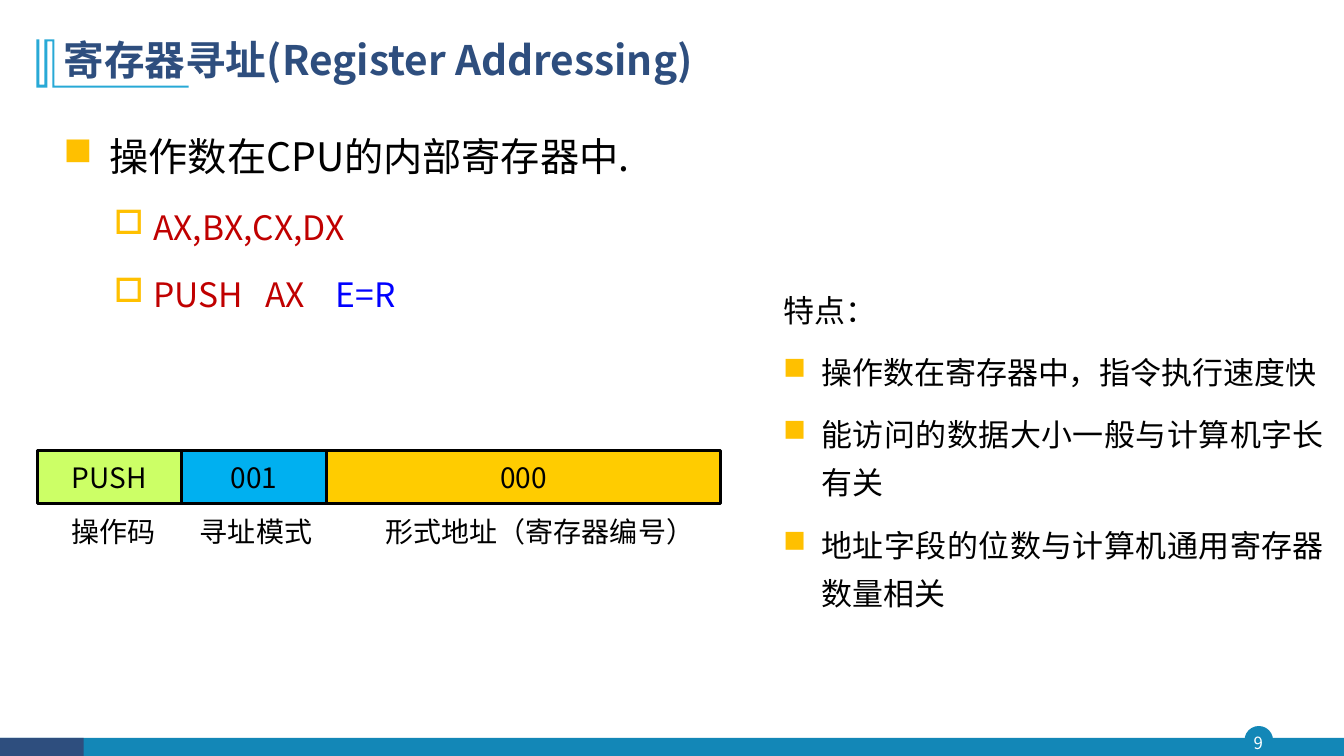
from lxml import etree
from pptx import Presentation, util as u
from pptx.dml.color import RGBColor
from pptx.enum import shapes, text
from pptx.oxml.ns import qn

# Content
TITLE = "寄存器寻址(Register Addressing)"
PAGE_NUMBER = "9"
OPERANDS = [
    # level, runs of (text, colour)
    (0, [("操作数在CPU的内部寄存器中.", "black")]),
    (1, [("AX,BX,CX,DX", "red")]),
    (1, [("PUSH\tAX\t", "red"), ("E=R", "blue")]),
]
FEATURES_HEAD = "特点："
FEATURES = [
    "操作数在寄存器中，指令执行速度快",
    "能访问的数据大小一般与计算机字长有关",
    "地址字段的位数与计算机通用寄存器数量相关",
]
INSTRUCTION = [
    # value, caption, width, caption shift, fill
    ("PUSH", "操作码", 1.43, 0.04, "lime"),
    ("001", "寻址模式", 1.44, 0.02, "sky"),
    ("000", "形式地址（寄存器编号）", 3.91, 0.16, "amber"),
]
COLOURS = {
    "black": "000000", "white": "FFFFFF", "red": "C00000", "blue": "0000FF",
    "navy": "2E4E7E", "teal": "1387B7", "cyan": "28A9D6", "bullet": "FFC000",
    "lime": "CCFF66", "sky": "00B0F0", "amber": "FFCC00",
}
SANS, SANS_JP = "Noto Sans CJK SC", "Noto Sans CJK JP"
WIDTH, HEIGHT = 13.33, 7.5
LEFT, CENTER, JUSTIFY = (text.PP_ALIGN.LEFT, text.PP_ALIGN.CENTER,
                         text.PP_ALIGN.JUSTIFY)
TOP, MIDDLE = text.MSO_ANCHOR.TOP, text.MSO_ANCHOR.MIDDLE

# Outline of the title mark, in hundredths of an inch
TITLE_MARK = [(54, 39), (54, 85), (187, 85), (187, 87), (52, 87), (52, 41),
              (47, 41), (47, 87), (36, 87), (36, 39), (39, 39), (39, 84),
              (44, 84), (44, 39)]


def rgb(name):
    return RGBColor.from_string(COLOURS[name])


def inches(*lengths):
    return [u.Inches(length) for length in lengths]


def add_element(parent, tag, **attributes):
    return etree.SubElement(parent, qn(tag), {k: str(v) for k, v in attributes.items()})


def write(frame, runs, first=False, size=20, font=SANS, colour="black", bold=False,
          align=LEFT, spacing=1.0, before=0, bullet=None, indent=(0, 0), tabs=(),
          level=0):
    """Add one paragraph; runs is a string or a list of (text, colour)."""
    paragraph = frame.paragraphs[0] if first else frame.add_paragraph()
    paragraph.alignment, paragraph.line_spacing = align, spacing
    paragraph.level = level
    paragraph.space_before = u.Pt(0 if first else before)
    properties = paragraph._p.get_or_add_pPr()
    if bullet:
        margin, hanging = inches(*indent)
        properties.set("marL", str(margin))
        properties.set("indent", str(-hanging))
        add_element(add_element(properties, "a:buClr"), "a:srgbClr", val=COLOURS["bullet"])
        add_element(properties, "a:buFont", typeface="Wingdings", charset=2)
        add_element(properties, "a:buChar", char=bullet)
    if tabs:
        tab_list = add_element(properties, "a:tabLst")
        for stop in tabs:
            add_element(tab_list, "a:tab", pos=u.Inches(stop), algn="l")
    for words, run_colour in ([(runs, colour)] if isinstance(runs, str) else runs):
        run = paragraph.add_run()
        run.text = words
        run.font.size, run.font.name, run.font.bold = u.Pt(size), font, bold
        run.font.color.rgb = rgb(run_colour)
        add_element(run._r.get_or_add_rPr(), "a:ea", typeface=font)


def set_frame(frame, anchor=TOP, inset=True):
    frame.word_wrap, frame.auto_size = True, text.MSO_AUTO_SIZE.NONE
    frame.vertical_anchor = anchor
    side, edge = inches(0.1, 0.05) if inset else (0, 0)
    frame.margin_left = frame.margin_right = side
    frame.margin_top = frame.margin_bottom = edge
    return frame


def add_box(slide, *place, **frame_format):
    return set_frame(slide.shapes.add_textbox(*inches(*place)).text_frame, **frame_format)


def paint(shape, fill, line=None, weight=1):
    shape.shadow.inherit = False
    shape.fill.solid()
    shape.fill.fore_color.rgb = rgb(fill)
    if line:
        shape.line.color.rgb, shape.line.width = rgb(line), u.Pt(weight)
    else:
        shape.line.fill.background()
    return shape


def add_frame_parts(slide):
    # Page number disc and footer bars
    bar_top, bar_height = 7.32, 0.19
    for kind, place, fill, line in [
        (shapes.MSO_SHAPE.OVAL, (12.35, 7.21, 0.27, 0.27), "teal", "teal"),
        (shapes.MSO_SHAPE.RECTANGLE, (0, bar_top, WIDTH, bar_height), "teal", None),
        (shapes.MSO_SHAPE.RECTANGLE, (0, bar_top, 0.83, bar_height), "navy", None),
    ]:
        paint(slide.shapes.add_shape(kind, *inches(*place)), fill, line)
    number = add_box(slide, 12.32, 7.21, 0.32, 0.31, anchor=MIDDLE, inset=False)
    write(number, PAGE_NUMBER, first=True, size=12, colour="white", align=CENTER)

    # Mark beside the title
    outline = slide.shapes.build_freeform(*TITLE_MARK[0], scale=u.Inches(0.01))
    outline.add_line_segments(TITLE_MARK[1:], close=True)
    paint(outline.convert_to_shape(), "cyan")


def add_title(slide):
    title = slide.shapes.title
    title.left, title.top, title.width, title.height = inches(0.53, 0.28, 11.5, 0.68)
    write(set_frame(title.text_frame, anchor=MIDDLE), TITLE, first=True, size=29,
          colour="navy", bold=True, spacing=0.9)


def add_operands(slide):
    styles = [
        dict(size=28, font=SANS_JP, bullet="n", indent=(0.46, 0.46)),
        dict(size=24, bullet="o", indent=(0.89, 0.39), before=5, tabs=(2.0, 2.7)),
    ]
    frame = add_box(slide, 0.53, 1.03, 6.61, 2.59)
    for i, (level, runs) in enumerate(OPERANDS):
        write(frame, runs, first=i == 0, level=level, align=JUSTIFY, spacing=1.5,
              **styles[level])


def add_instruction(slide):
    left, top, height = 0.37, 4.47, 0.53
    for value, caption, width, shift, fill in INSTRUCTION:
        field = slide.shapes.add_shape(shapes.MSO_SHAPE.RECTANGLE,
                                       *inches(left, top, width, height))
        paint(field, fill, "black", 2.25)
        write(set_frame(field.text_frame, anchor=MIDDLE), value, first=True, align=CENTER)
        label = add_box(slide, left + shift, top + 0.59, width, 0.44)
        write(label, caption, first=True, align=CENTER)
        left += width


def add_features(slide):
    style = dict(size=22.1, align=JUSTIFY, spacing=1.3)
    frame = add_box(slide, 7.67, 2.73, 5.56, 3.36)
    write(frame, FEATURES_HEAD, first=True, **style)
    for feature in FEATURES:
        write(frame, feature, before=10, bullet="n", indent=(0.38, 0.38), **style)


def main():
    deck = Presentation()
    deck.slide_width, deck.slide_height = inches(WIDTH, HEIGHT)
    slide = deck.slides.add_slide(deck.slide_layouts[5])
    for add_part in (add_frame_parts, add_title, add_operands, add_instruction,
                     add_features):
        add_part(slide)
    deck.save("out.pptx")


if __name__ == "__main__":
    main()
